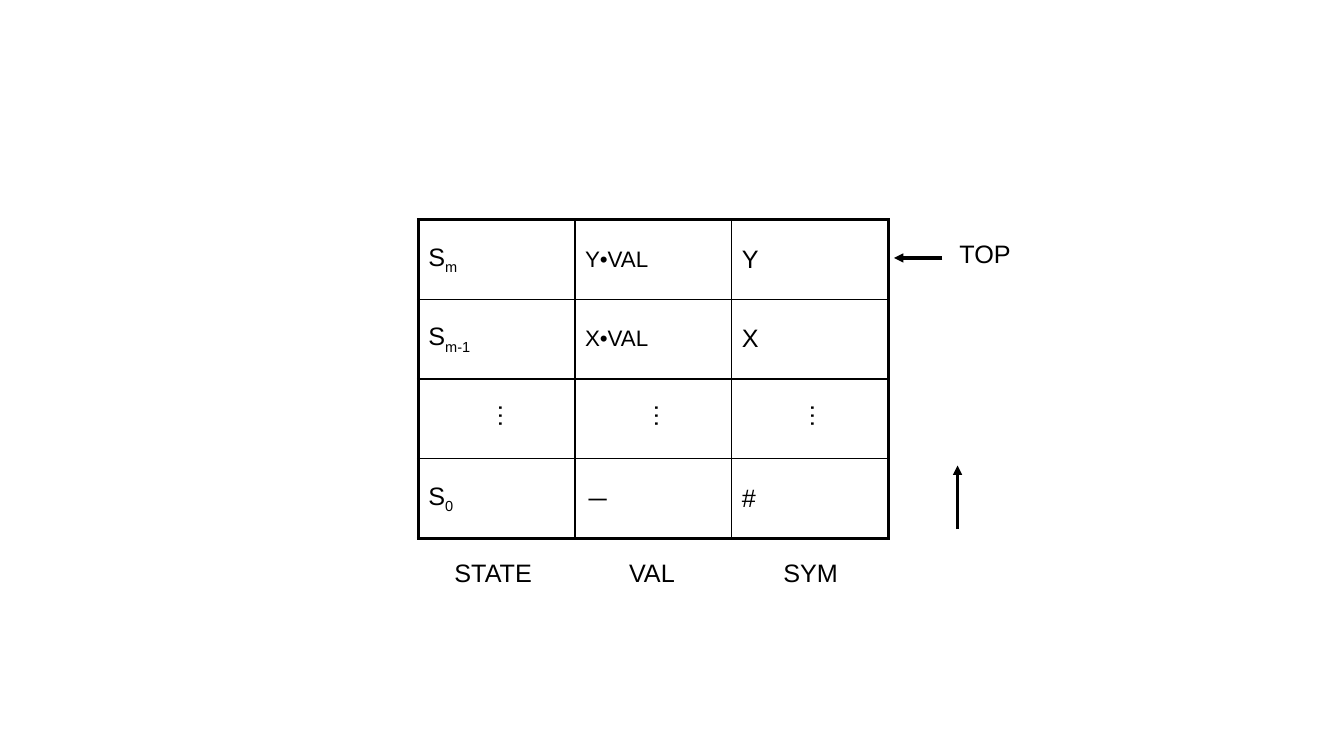
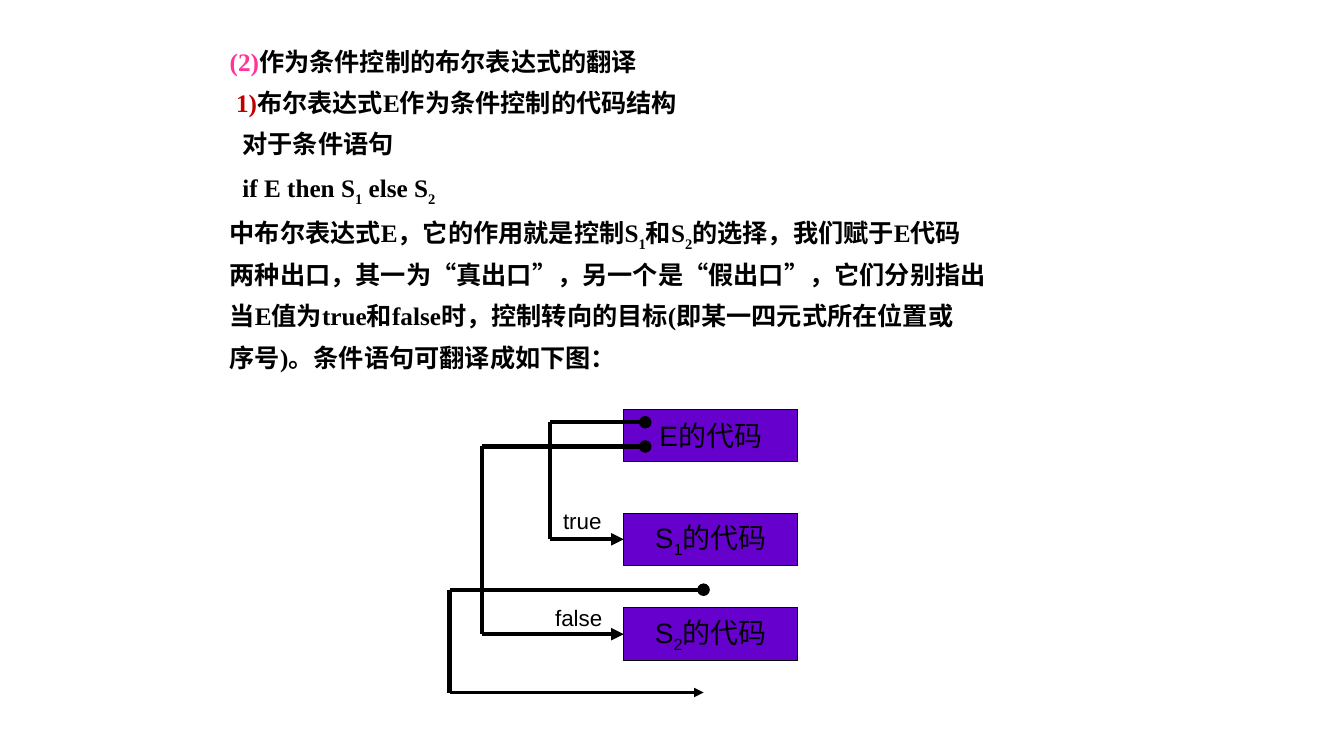
"""Build two slides: a parser stack table and the code layout of a conditional."""
from lxml import etree
from pptx import Presentation
from pptx.dml.color import RGBColor
from pptx.enum.shapes import MSO_CONNECTOR, MSO_SHAPE
from pptx.enum.text import MSO_ANCHOR, MSO_AUTO_SIZE, PP_ALIGN
from pptx.oxml.ns import qn
from pptx.util import Cm, Pt

STRAIGHT = MSO_CONNECTOR.STRAIGHT
RECTANGLE = MSO_SHAPE.RECTANGLE
MIDDLE = MSO_ANCHOR.MIDDLE
GROW = MSO_AUTO_SIZE.SHAPE_TO_FIT_TEXT
LEFT, CENTER, JUSTIFY = PP_ALIGN.LEFT, PP_ALIGN.CENTER, PP_ALIGN.JUSTIFY
LEFT_SIDE = 1

BLACK = RGBColor(0x00, 0x00, 0x00)
PINK = RGBColor(0xFF, 0x33, 0x99)
RED = RGBColor(0xC0, 0x00, 0x00)
PURPLE = RGBColor(0x66, 0x00, 0xCC)

LABEL = {"name": "Arial", "size": Pt(18), "color": BLACK}
SMALL_LABEL = {**LABEL, "size": Pt(16)}
BLOCK_LABEL = {**LABEL, "size": Pt(20)}
BODY = {"name": "Times New Roman", "size": Pt(18), "bold": True, "color": BLACK}
SUB = {"baseline": -25000}

STACK_LEFT, STACK_TOP = 10.54, 5.53
CELL_WIDTH, CELL_HEIGHT = 3.95, 2.01
OUTER_BORDER, INNER_BORDER = Pt(2.25), Pt(1)
STACK_ROWS = [
    [["S", ("m", SUB)], [("Y•VAL", SMALL_LABEL)], ["Y"]],
    [["S", ("m-1", SUB)], [("X•VAL", SMALL_LABEL)], ["X"]],
    [[], [], []],
    [["S", ("0", SUB)], ["－"], ["#"]],
]

BODY_LINES = [
    (LEFT, 0, [("(2)", {"color": PINK}), "作为条件控制的布尔表达式的翻译"]),
    (JUSTIFY, 0.16, [("1)", {"color": RED}), "布尔表达式E作为条件控制的代码结构"]),
    (JUSTIFY, 0.32, ["对于条件语句"]),
    (JUSTIFY, 0.32, ["if E then S", ("1", SUB), " else S", ("2", SUB)]),
    (LEFT, 0, ["中布尔表达式E，它的作用就是控制S", ("1", SUB), "和S", ("2", SUB),
               "的选择，我们赋于E代码"]),
    (LEFT, 0, ["两种出口，其一为“真出口”，另一个是“假出口”，它们分别指出"]),
    (LEFT, 0, ["当E值为true和false时，控制转向的目标(即某一四元式所在位置或"]),
    (LEFT, 0, ["序号)。条件语句可翻译成如下图："]),
]


def format_span(span, style):
    """Apply a dict of format values to a run."""
    for name, value in style.items():
        if name == "color":
            span.font.color.rgb = value
        elif name == "baseline":
            span._r.get_or_add_rPr().set("baseline", str(value))
        else:
            setattr(span.font, name, value)


def fill_para(para, spans, style, align=LEFT):
    """Write plain or (text, overrides) spans into a paragraph."""
    para.alignment = align
    for item in spans:
        text, overrides = (item, {}) if isinstance(item, str) else item
        span = para.add_run()
        span.text = text
        format_span(span, {**style, **overrides})


def add_label(page, text, left, top, width, height, style=LABEL, align=LEFT, vertical=False):
    """Add a one-line text box, optionally set vertically."""
    box = page.shapes.add_textbox(Cm(left), Cm(top), Cm(width), Cm(height))
    frame = box.text_frame
    frame.word_wrap = True
    frame.auto_size = GROW
    if vertical:
        frame._txBody.bodyPr.set("vert", "eaVert")
    fill_para(frame.paragraphs[0], [text], style, align)


def add_line(page, start, end, width=3, tail=None):
    """Add a straight black line between two points, with an optional end mark."""
    line = page.shapes.add_connector(STRAIGHT, *start, *end)
    line.line.color.rgb = BLACK
    line.line.width = Pt(width)
    if tail:
        etree.SubElement(line.line._get_or_add_ln(), qn("a:tailEnd"), type=tail)
    etree.SubElement(line._element.spPr, qn("a:effectLst"))
    return line


def set_borders(cell, widths):
    """Draw the four black borders of a cell, given left, right, top, bottom widths."""
    props = cell._tc.get_or_add_tcPr()
    for position, (side, width) in enumerate(zip(("lnL", "lnR", "lnT", "lnB"), widths)):
        border = etree.Element(qn(f"a:{side}"), w=str(int(width)))
        fill = etree.SubElement(border, qn("a:solidFill"))
        etree.SubElement(fill, qn("a:srgbClr"), val=str(BLACK))
        props.insert(position, border)


def add_stack(page):
    """Add the stack table with a heavy frame and thin inner rules."""
    rows, columns = len(STACK_ROWS), len(STACK_ROWS[0])
    table = page.shapes.add_table(
        rows, columns, Cm(STACK_LEFT), Cm(STACK_TOP),
        Cm(columns * CELL_WIDTH), Cm(rows * CELL_HEIGHT)).table
    table.first_row = table.horz_banding = False
    for r, row in enumerate(STACK_ROWS):
        for c, spans in enumerate(row):
            cell = table.cell(r, c)
            cell.fill.background()
            cell.vertical_anchor = MIDDLE
            fill_para(cell.text_frame.paragraphs[0], spans, LABEL)
            at_edge = (c == 0, c == columns - 1, r == 0, r == rows - 1)
            set_borders(cell, [OUTER_BORDER if edge else INNER_BORDER for edge in at_edge])


def add_block(page, spans, top):
    """Add a purple code block."""
    box = page.shapes.add_shape(RECTANGLE, Cm(15.72), Cm(top), Cm(4.39), Cm(1.32))
    box.shadow.inherit = False
    box.fill.solid()
    box.fill.fore_color.rgb = PURPLE
    box.line.color.rgb = BLACK
    box.line.width = Pt(0.75)
    box.text_frame.vertical_anchor = MIDDLE
    fill_para(box.text_frame.paragraphs[0], spans, BLOCK_LABEL, CENTER)
    return box


def add_jump(page, dot, lane, end, width=3):
    """Add a jump from a dot, down a lane on the left, to an arrow at the end."""
    upper, lower = (lane, dot[1]), (lane, end[1])
    add_line(page, upper, dot, tail="oval")
    add_line(page, upper, lower)
    return add_line(page, lower, end, width, "triangle")


def add_block_jump(page, dot, lane, block):
    """Add a jump that ends at the left side of a block."""
    end = (block.left, block.top + block.height // 2)
    add_jump(page, dot, lane, end).end_connect(block, LEFT_SIDE)


def add_body(page):
    """Add the explanatory text."""
    box = page.shapes.add_textbox(Cm(5.54), Cm(1.12), Cm(23.39), Cm(9.09))
    frame = box.text_frame
    frame.word_wrap = True
    for number, (align, indent, spans) in enumerate(BODY_LINES):
        para = frame.add_paragraph() if number else frame.paragraphs[0]
        para.line_spacing = 0.9
        para.space_before = Pt(10 if number else 0)
        para._p.get_or_add_pPr().set("marL", str(int(Cm(indent))))
        fill_para(para, spans, BODY, align)


def build_stack_page(page):
    """Build the slide with the parser stack."""
    add_stack(page)
    for column, name in enumerate(("STATE", "VAL", "SYM")):
        add_label(page, "…", 12.07 + 3.93 * column, 9.93, 1.27, 1.19,
                  align=CENTER, vertical=True)
        add_label(page, name, STACK_LEFT + 4 * column, 13.92, 3.78, 1.02, align=CENTER)
    add_line(page, (Cm(24.13), Cm(13.33)), (Cm(24.13), Cm(11.73)), 2.25, "triangle")
    add_line(page, (Cm(23.75), Cm(6.5)), (Cm(22.53), Cm(6.5)), 2.25, "triangle")
    add_label(page, "TOP", 23.93, 5.89, 2.39, 1.02)


def build_condition_page(page):
    """Build the slide with the code layout of a conditional."""
    add_body(page)
    add_block(page, ["E的代码"], 10.31)
    then_block = add_block(page, ["S", ("1", SUB), "的代码"], 12.93)
    else_block = add_block(page, ["S", ("2", SUB), "的代码"], 15.32)
    add_block_jump(page, (Cm(16.26), Cm(10.64)), Cm(13.87), then_block)
    add_block_jump(page, (Cm(16.26), Cm(11.25)), Cm(12.14), else_block)
    add_jump(page, (Cm(17.73), Cm(14.86)), Cm(11.33), (Cm(17.73), Cm(17.45)), 2.25)
    add_label(page, "true", 13.94, 12.65, 2.39, 0.94, SMALL_LABEL)
    add_label(page, "false", 13.74, 15.11, 2.39, 0.94, SMALL_LABEL)


def main():
    """Create the deck and save it."""
    deck = Presentation()
    deck.slide_width, deck.slide_height = Cm(33.87), Cm(19.05)
    blank = deck.slide_layouts[6]
    for build in (build_stack_page, build_condition_page):
        build(deck.slides.add_slide(blank))
    deck.save("out.pptx")


if __name__ == "__main__":
    main()
